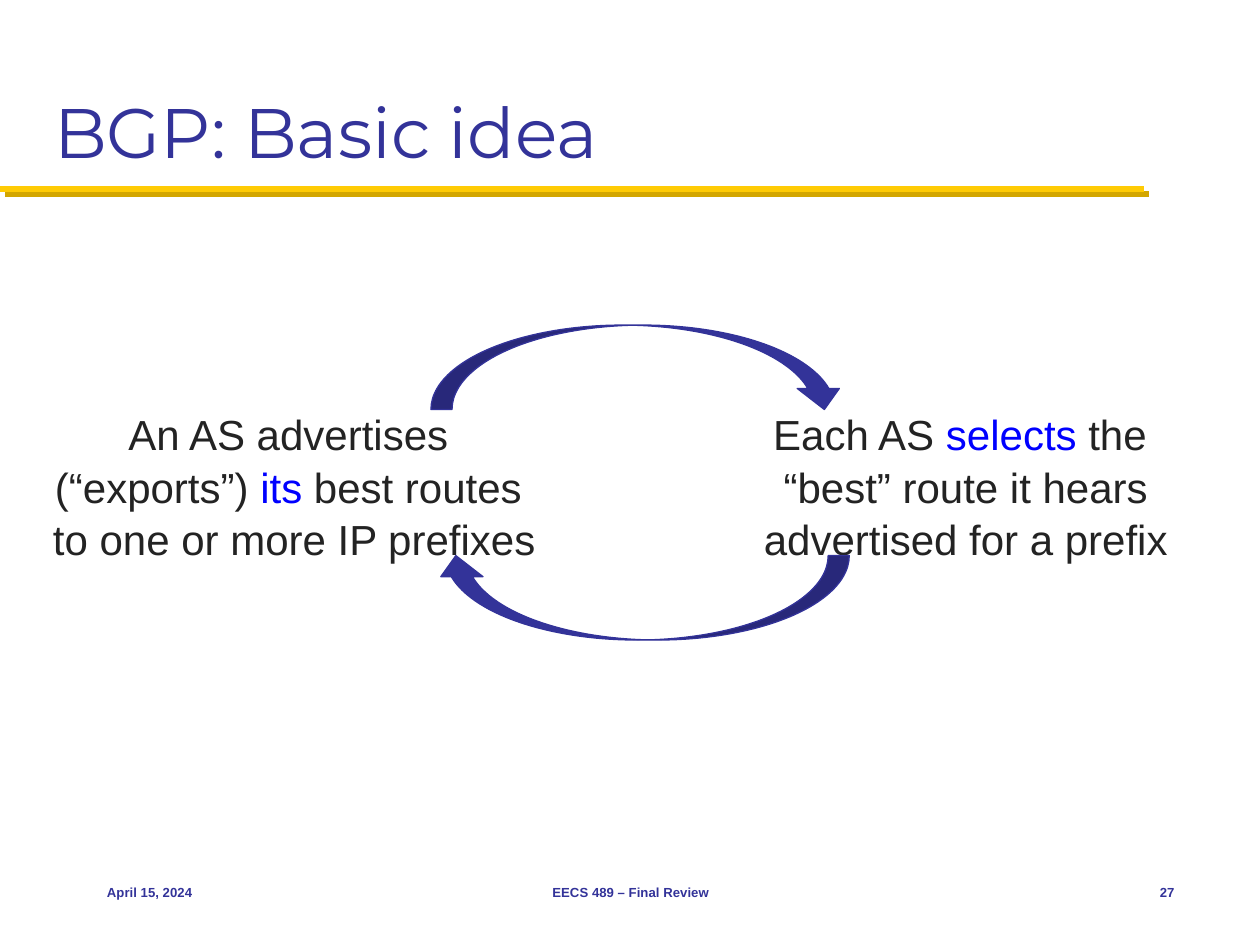
from lxml import etree
from pptx import Presentation
from pptx.dml.color import RGBColor
from pptx.enum.shapes import MSO_CONNECTOR, MSO_SHAPE
from pptx.enum.text import MSO_ANCHOR, PP_ALIGN
from pptx.oxml import parse_xml
from pptx.oxml.ns import nsdecls, qn
from pptx.util import Inches, Pt

COLORS = {"navy": "333399", "gold": "FFCB05", "dark_gold": "D3A600",
          "text": "232323", "highlight": "0000FF"}


def color(name):
    return RGBColor.from_string(COLORS[name])


def format_run(run, size, color_name, font="Arial", bold=False):
    run.font.size = Pt(size)
    run.font.name = font
    run.font.bold = bold
    run.font.color.rgb = color(color_name)


def add_text_box(page, left, top, width, height, anchor, alignment):
    """Add an empty wrapping text box and return its first paragraph."""
    frame = page.shapes.add_textbox(
        Inches(left), Inches(top), Inches(width), Inches(height)).text_frame
    frame.word_wrap = True
    frame.vertical_anchor = anchor
    para = frame.paragraphs[0]
    para.alignment = alignment
    return para


def add_title_rule(page, width, top):
    """Add the gold rule with its hard, offset shadow."""
    rule = page.shapes.add_connector(
        MSO_CONNECTOR.STRAIGHT, 0, Inches(top), Inches(width), Inches(top))
    rule.line.color.rgb = color("gold")
    rule.line.width = Pt(3.5)
    properties = rule._element.find(qn("p:spPr"))
    effects = etree.SubElement(properties, qn("a:effectLst"))
    effects.append(parse_xml(
        f'<a:outerShdw {nsdecls("a")} dist="{Pt(4.2)}" dir="2700000" algn="ctr" '
        f'rotWithShape="0"><a:srgbClr val="{COLORS["dark_gold"]}"/></a:outerShdw>'))


def add_title(page, left, top, width, height):
    title = page.shapes.title
    title.left, title.top = Inches(left), Inches(top)
    title.width, title.height = Inches(width), Inches(height)
    frame = title.text_frame
    frame.text = "BGP: Basic idea"
    frame.vertical_anchor = MSO_ANCHOR.BOTTOM
    frame.paragraphs[0].alignment = PP_ALIGN.LEFT
    format_run(frame.paragraphs[0].runs[0], 40, "navy", "Montserrat")


def add_statement(page, left, top, width, height, lines):
    """Add centred lines, each a list of (text, color name) pieces."""
    para = add_text_box(page, left, top, width, height,
                        MSO_ANCHOR.TOP, PP_ALIGN.CENTER)
    para.line_spacing = 1.05
    for index, line in enumerate(lines):
        if index:
            para.add_line_break()
        for text, color_name in line:
            run = para.add_run()
            run.text = text
            format_run(run, 24, color_name)


def add_cycle_arrow(page, left, top, width, height, rotation):
    arrow = page.shapes.add_shape(
        MSO_SHAPE.CURVED_LEFT_ARROW,
        Inches(left), Inches(top), Inches(width), Inches(height))
    arrow.rotation = rotation
    arrow.shadow.inherit = False
    arrow.fill.solid()
    arrow.fill.fore_color.rgb = color("navy")
    arrow.line.color.rgb = color("navy")
    arrow.line.width = Pt(0.75)


def add_cycle(page, top, height):
    """Add the two statements and the arrows that join them in a loop."""
    add_statement(page, 5.33, top, 4.67, height, [
        [("Each AS ", "text"), ("selects", "highlight"), (" the ", "text")],
        [("“best” route it hears advertised for a prefix", "text")]])
    add_statement(page, 0.25, top, 4.17, height, [
        [("An AS advertises ", "text")],
        [("(“exports”) ", "text"), ("its", "highlight"), (" best routes ", "text")],
        [("to one or more IP prefixes", "text")]])
    add_cycle_arrow(page, 4.73, top - 1.9, 0.67, 3.29, 270)
    add_cycle_arrow(page, 4.76, top - 0.07, 0.67, 3.29, 90)


def add_footer(page, top, height):
    for left, width, alignment, text in (
            (0.75, 2.08, PP_ALIGN.LEFT, "April 15, 2024"),
            (3.42, 3.17, PP_ALIGN.CENTER, "EECS 489 – Final Review"),
            (8.75, 0.67, PP_ALIGN.RIGHT, "27")):
        para = add_text_box(page, left, top, width, height,
                            MSO_ANCHOR.MIDDLE, alignment)
        para.text = text
        format_run(para.runs[0], 7.5, "navy", bold=True)


def main():
    deck = Presentation()
    deck.slide_width, deck.slide_height = Inches(10), Inches(7.5)
    page = deck.slides.add_slide(deck.slide_layouts[5])
    add_title_rule(page, 9.08, 1.5)
    add_title(page, 0.33, 0.17, 9.33, 1.25)
    add_cycle(page, 3.17, 1.42)
    add_footer(page, 6.83, 0.5)
    deck.save("out.pptx")


if __name__ == "__main__":
    main()
